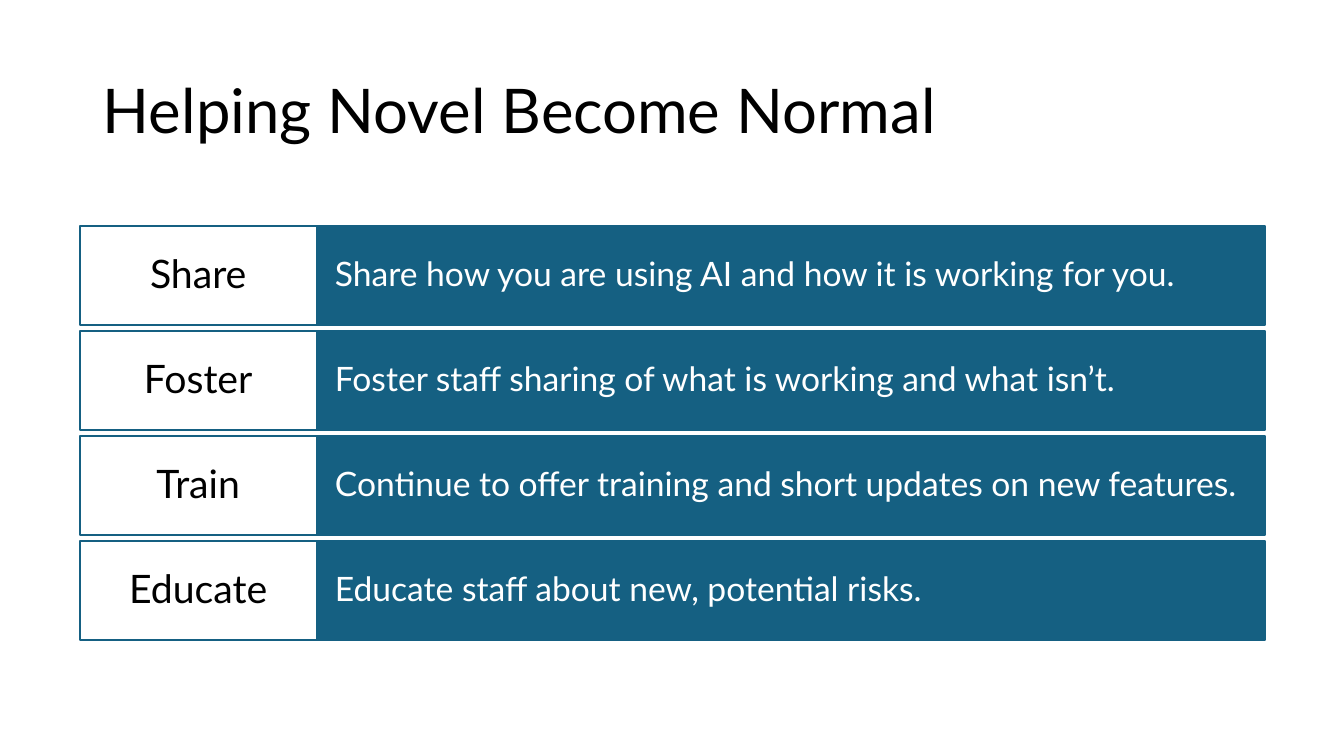
from dataclasses import dataclass

from pptx import Presentation
from pptx.dml.color import RGBColor as RGB
from pptx.enum.shapes import MSO_SHAPE as Shape
from pptx.enum.text import MSO_ANCHOR as Anchor, MSO_AUTO_SIZE as Fit, PP_ALIGN as Align
from pptx.util import Inches, Pt


@dataclass(frozen=True)
class Theme:
    font: str = "Lato"
    blue: RGB = RGB(0x15, 0x60, 0x82)
    white: RGB = RGB(0xFF, 0xFF, 0xFF)
    black: RGB = RGB(0x00, 0x00, 0x00)
    title: Pt = Pt(44)
    label: Pt = Pt(28)
    body: Pt = Pt(24)
    line: Pt = Pt(1.5)


THEME = Theme()
ROWS = [
    ("Share", "Share how you are using AI and how it is working for you."),
    ("Foster", "Foster staff sharing of what is working and what isn’t."),
    ("Train", "Continue to offer training and short updates on new features."),
    ("Educate", "Educate staff about new, potential risks."),
]


def assign(item, values):
    for name, value in values.items():
        setattr(item, name, value)


def write(shape, text, size, color, align, pad):
    frame = shape.text_frame
    frame.text = text
    side, edge = map(Inches, pad)
    assign(frame, {
        "word_wrap": True, "auto_size": Fit.NONE, "vertical_anchor": Anchor.MIDDLE,
        "margin_left": side, "margin_right": side,
        "margin_top": edge, "margin_bottom": edge,
    })
    line = frame.paragraphs[0]
    assign(line, {"alignment": align, "line_spacing": 0.9})
    assign(line.font, {"name": THEME.font, "size": size})
    line.font.color.rgb = color


def add_title(slide, text, box):
    title = slide.shapes.title
    assign(title, dict(zip(("left", "top", "width", "height"), map(Inches, box))))
    write(title, text, THEME.title, THEME.black, Align.LEFT, (0.1, 0.05))


def add_cell(slide, box, fill):
    cell = slide.shapes.add_shape(Shape.RECTANGLE, *map(Inches, box))
    cell.shadow.inherit = False
    cell.fill.solid()
    cell.fill.fore_color.rgb = fill
    cell.line.color.rgb = THEME.blue
    cell.line.width = THEME.line
    return cell


def add_rows(slide, rows, box, gap=0.06):
    left, top, width, height = box
    tall = (height - gap * (len(rows) - 1)) / len(rows)
    side = width / 5
    for i, (label, text) in enumerate(rows):
        y = top + i * (tall + gap)
        bar = add_cell(slide, (left + side, y, width - side, tall), THEME.blue)
        write(bar, text, THEME.body, THEME.white, Align.LEFT, (0.18, 0.25))
        tag = add_cell(slide, (left, y, side, tall), THEME.white)
        write(tag, label, THEME.label, THEME.black, Align.CENTER, (0.12, 0.1))


def main():
    deck = Presentation()
    assign(deck, {"slide_width": Inches(13.33), "slide_height": Inches(7.5)})
    slide = deck.slides.add_slide(deck.slide_layouts[5])
    add_title(slide, "Helping Novel Become Normal", (0.92, 0.4, 11.5, 1.45))
    add_rows(slide, ROWS, (0.79, 2.24, 11.76, 4.11))
    deck.save("out.pptx")


if __name__ == "__main__":
    main()
